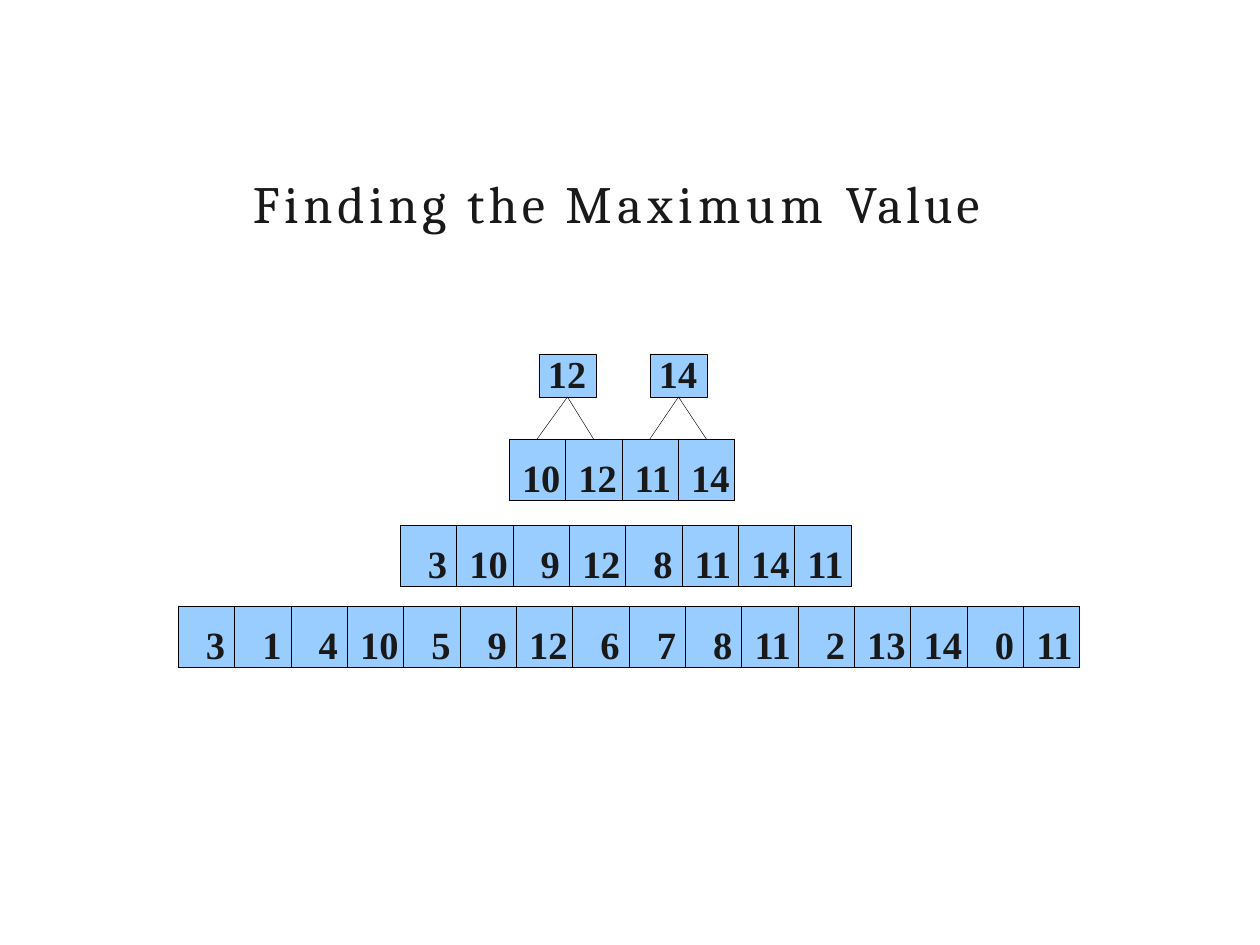
import pptx
import pptx.dml.color
import pptx.enum.shapes
import pptx.enum.text
import pptx.oxml
import pptx.oxml.ns
import pptx.util

PX = 7257
INK = "191919"
BLUE = "99CCFF"
BLACK = "000000"
HAIRLINE = pptx.util.Pt(0.25)
CELL_WIDTH = 902 * PX // 16
ROW_HEIGHT = 43 * PX


def paint(fill, color):
    fill.solid()
    fill.fore_color.rgb = pptx.dml.color.RGBColor.from_string(color)


def write(frame, text, size=22, face="Times New Roman", bold=True, leading=None, spacing=None):
    para = frame.paragraphs[0]
    para.alignment = pptx.enum.text.PP_ALIGN.LEFT
    if leading:
        para.line_spacing = pptx.util.Pt(leading)
    span = para.add_run()
    span.text = text
    span.font.size = pptx.util.Pt(size)
    span.font.name = face
    span.font.bold = bold
    paint(span.font.fill, INK)
    if spacing:
        span.font._element.set("spc", str(spacing))


deck = pptx.Presentation()
deck.slide_width = pptx.util.Inches(10)
deck.slide_height = pptx.util.Inches(7.5)
page = deck.slides.add_slide(deck.slide_layouts[5])

title = page.shapes.title
title.left, title.top, title.width, title.height = 253 * PX, 170 * PX, 752 * PX, 64 * PX
frame = title.text_frame
frame.margin_left = frame.margin_right = frame.margin_bottom = 0
frame.margin_top = PX
frame.vertical_anchor = pptx.enum.text.MSO_ANCHOR.TOP
frame.auto_size = pptx.enum.text.MSO_AUTO_SIZE.NONE
for word, spacing in [("Finding ", 270), ("the ", 250), ("Maximum ", 320), ("Value", 220)]:
    write(frame, word, size=29.9, face="Cambria", bold=False, spacing=spacing)

rounds = [
    (178, 606, [3, 1, 4, 10, 5, 9, 12, 6, 7, 8, 11, 2, 13, 14, 0, 11]),
    (400, 525, [3, 10, 9, 12, 8, 11, 14, 11]),
    (509, 439, [10, 12, 11, 14]),
]
for left, top, values in rounds:
    holder = page.shapes.add_table(
        1, len(values), left * PX, top * PX, CELL_WIDTH * len(values), ROW_HEIGHT
    )
    table = holder.table
    table.first_row = table.horz_banding = False
    table.rows[0].height = ROW_HEIGHT
    for index, value in enumerate(values):
        table.columns[index].width = CELL_WIDTH
        cell = table.cell(0, index)
        cell.margin_left = (28 if value < 10 else 13) * PX
        cell.margin_top = cell.margin_right = cell.margin_bottom = 0
        write(cell.text_frame, str(value), leading=35.1)
        for side in ["lnL", "lnR", "lnT", "lnB"]:
            border = pptx.oxml.parse_xml(
                f'<a:{side} {pptx.oxml.ns.nsdecls("a")} w="{HAIRLINE}"><a:solidFill>'
                f'<a:srgbClr val="{BLACK}"/></a:solidFill></a:{side}>'
            )
            cell._tc.get_or_add_tcPr().append(border)
        paint(cell.fill, BLUE)

for index, (left, value) in enumerate([(539, "12"), (650, "14")]):
    box = page.shapes.add_shape(
        pptx.enum.shapes.MSO_SHAPE.RECTANGLE, left * PX, 354 * PX, 57 * PX, ROW_HEIGHT
    )
    box.shadow.inherit = False
    paint(box.fill, BLUE)
    paint(box.line.fill, BLACK)
    box.line.width = HAIRLINE
    frame = box.text_frame
    frame.margin_left = 9 * PX
    frame.margin_top = frame.margin_right = frame.margin_bottom = 0
    frame.vertical_anchor = pptx.enum.text.MSO_ANCHOR.TOP
    write(frame, value, size=21.8, leading=23.9)
    for column in [2 * index, 2 * index + 1]:
        cell_middle = 509 * PX + CELL_WIDTH * (2 * column + 1) // 2
        branch = page.shapes.add_connector(
            pptx.enum.shapes.MSO_CONNECTOR.STRAIGHT,
            box.left + box.width // 2, box.top + box.height, cell_middle, 439 * PX,
        )
        branch.begin_connect(box, 2)
        paint(branch.line.fill, BLACK)
        branch.line.width = HAIRLINE
        branch._element.spPr.append(
            pptx.oxml.parse_xml(f'<a:effectLst {pptx.oxml.ns.nsdecls("a")}/>')
        )

deck.save("out.pptx")
